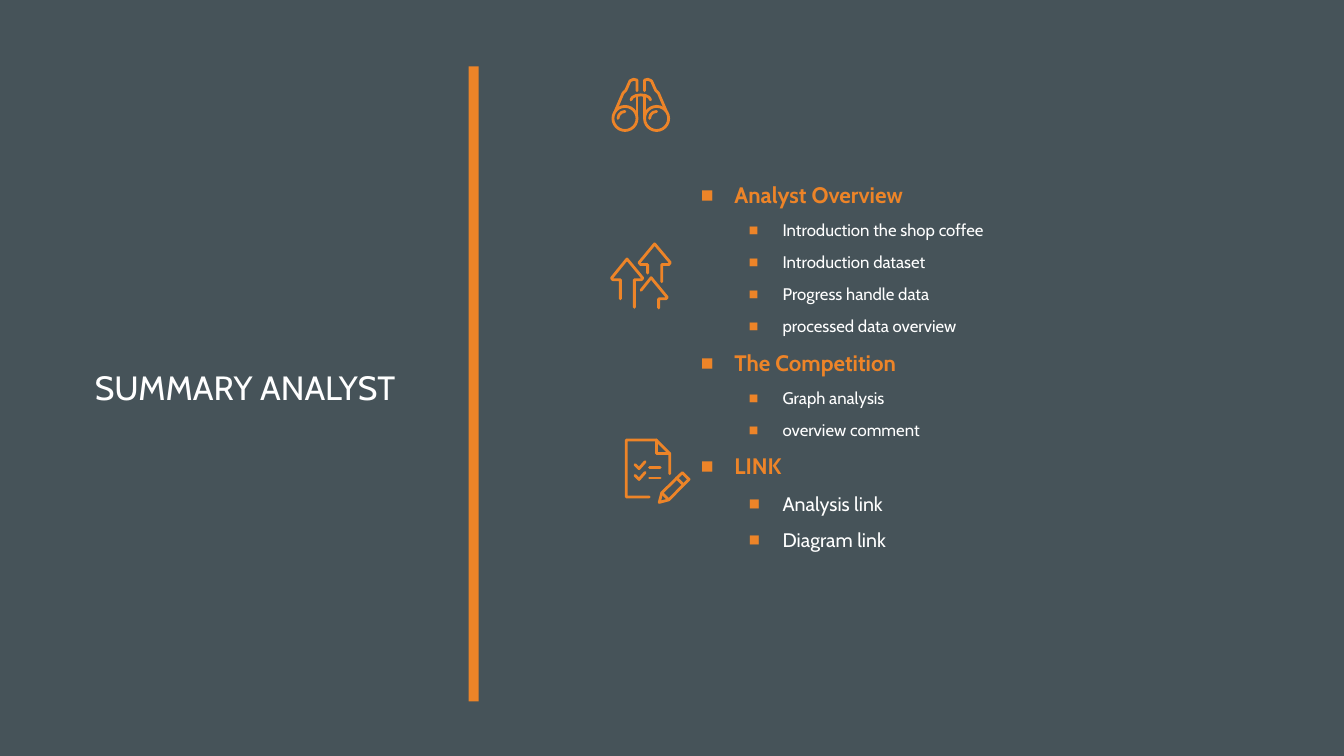
from lxml.etree import SubElement
from pptx import Presentation
from pptx.dml.color import RGBColor
from pptx.enum.shapes import MSO_SHAPE
from pptx.enum.text import MSO_ANCHOR
from pptx.oxml.ns import qn
from pptx.util import Pt

ORANGE, WHITE, SLATE = "ED8428", "FFFFFF", "465359"


def color(hex_string):
    return RGBColor.from_string(hex_string)


def outline(shape):
    """Give an icon part a round-capped orange line and no fill."""
    shape.shadow.inherit = False
    shape.fill.background()
    shape.line.color.rgb = color(ORANGE)
    shape.line.width = Pt(2)
    shape._element.spPr.find(qn("a:ln")).set("cap", "rnd")


presentation = Presentation()
presentation.slide_width, presentation.slide_height = Pt(960), Pt(540)
slide = presentation.slides.add_slide(presentation.slide_layouts[6])
slide.background.fill.solid()
slide.background.fill.fore_color.rgb = color(SLATE)

divider = slide.shapes.add_shape(MSO_SHAPE.RECTANGLE, Pt(334.8), Pt(47.5), Pt(7.2), Pt(453.6))
divider.shadow.inherit = False
divider.fill.solid()
divider.fill.fore_color.rgb = color(ORANGE)
divider.line.fill.background()

# Title and agenda: (text, level, size)
title = [("SUMMARY ANALYST", None, 24)]
agenda = [
    ("Analyst Overview", 0, 16),
    ("Introduction the shop coffee", 1, 12),
    ("Introduction dataset", 1, 12),
    ("Progress handle data", 1, 12),
    ("processed data overview", 1, 12),
    ("The Competition", 0, 16),
    ("Graph analysis", 1, 12),
    ("overview comment", 1, 12),
    ("LINK", 0, 16),
    ("Analysis link", 1, 14),
    ("Diagram link", 1, 14),
]
text_boxes = [
    (title, MSO_ANCHOR.MIDDLE, (67.7, 208.8, 224.6, 135.4)),
    (agenda, MSO_ANCHOR.TOP, (500.6, 129.5, 401.8, 270)),
]
for lines, anchor, place in text_boxes:
    frame = slide.shapes.add_textbox(*map(Pt, place)).text_frame
    frame_format = {
        "word_wrap": True, "vertical_anchor": anchor,
        "margin_left": 0, "margin_right": 0, "margin_top": 0, "margin_bottom": 0,
    }
    for name, value in frame_format.items():
        setattr(frame, name, value)
    for index, (text, level, size) in enumerate(lines):
        paragraph = frame.paragraphs[0] if index == 0 else frame.add_paragraph()
        paragraph.text = text
        if level is not None:
            paragraph.space_before = Pt(0.2 * size if index else 0)
            paragraph.space_after = Pt(6)
            properties = paragraph._p.get_or_add_pPr()
            properties.set("marL", str(Pt(24 + 34.4 * level)))
            properties.set("indent", str(Pt(-24)))
            bullet_color = SubElement(properties, qn("a:buClr"))
            SubElement(bullet_color, qn("a:srgbClr"), val=ORANGE)
            SubElement(properties, qn("a:buSzPct"), val="60000")
            SubElement(properties, qn("a:buFont"), typeface="Cabin")
            SubElement(properties, qn("a:buChar"), char="■")
        font_format = {"name": "Cabin", "size": Pt(size), "bold": level == 0}
        for name, value in font_format.items():
            setattr(paragraph.font, name, value)
        paragraph.font.color.rgb = color(ORANGE if level == 0 else WHITE)

# Icons, as strokes in points on the slide
checklist = [
    [(463.7, 355), (447.4, 355), (447.4, 314.3), (468.7, 314.3), (478.4, 324), (478.4, 338.4)],
    [(468.7, 314.3), (468.7, 324), (478.4, 324)],
    [(470.9, 358.9), (472.7, 352.1), (487.4, 337.7), (492.2, 342.4), (477.7, 357.1), (470.9, 358.9)],
    [(483.1, 341.3), (488.2, 346.3)],
    [(472.7, 352.1), (477.7, 357.1)],
]
for row in range(2):
    drop = 7.7 * row
    checklist.append([(453.6, 331.9 + drop), (456.5, 334.8 + drop), (460.8, 329.8 + drop)])
    checklist.append([(464, 333.7 + drop), (471.6, 333.7 + drop)])

binoculars_axis = 457.7
left_barrel = [
    [(439.6, 79.2), (445, 66.6), (447.1, 64.4), (450, 57.8), (452.5, 56.6), (455, 57.2), (455, 64.8)],
    [(455, 68), (455, 84.6)],
]
right_barrel = [[(2 * binoculars_axis - x, y) for x, y in stroke] for stroke in left_barrel]

arrows = [
    [(443.2, 213.5), (443.2, 199.8), (437.8, 199.8), (436.8, 198.7), (447.9, 185),
     (459.2, 198.7), (458.2, 199.8), (453.2, 199.8), (453.2, 219.6)],
    [(462.6, 195.1), (462.6, 189), (457.6, 189), (456.5, 187.6), (467.6, 174.2),
     (478.8, 187.6), (477.7, 189), (472.7, 189), (472.7, 201.2)],
    [(457.9, 207.4), (465.1, 198.4), (476.6, 212.4), (475.6, 213.5), (470.5, 213.5), (470.5, 220)],
]

# Round parts: (preset, centre x, centre y, radius x, radius y, arc end in degrees)
lenses = [(MSO_SHAPE.ARC, binoculars_axis, 71.4, 7, 3.6, 0)]
for lens_x in (446.4, 469):
    lenses.append((MSO_SHAPE.OVAL, lens_x, 84.6, 8.6, 8.6, None))
    lenses.append((MSO_SHAPE.ARC, lens_x, 84.6, 5, 5, 270))

icons = [(checklist, []), (left_barrel + right_barrel, lenses), (arrows, [])]
for strokes, rounds in icons:
    icon = slide.shapes.add_group_shape()
    for stroke in strokes:
        points = [(Pt(x), Pt(y)) for x, y in stroke]
        builder = icon.shapes.build_freeform(*points[0])
        builder.add_line_segments(points[1:], close=points[0] == points[-1])
        outline(builder.convert_to_shape())
    for preset, x, y, radius_x, radius_y, arc_end in rounds:
        place = (x - radius_x, y - radius_y, 2 * radius_x, 2 * radius_y)
        part = icon.shapes.add_shape(preset, *map(Pt, place))
        if arc_end is not None:
            # Arc angles count 60000 to the degree, adjustments 100000 to the unit
            part.adjustments[0] = 180 * 0.6
            part.adjustments[1] = arc_end * 0.6
        outline(part)

presentation.save("out.pptx")
